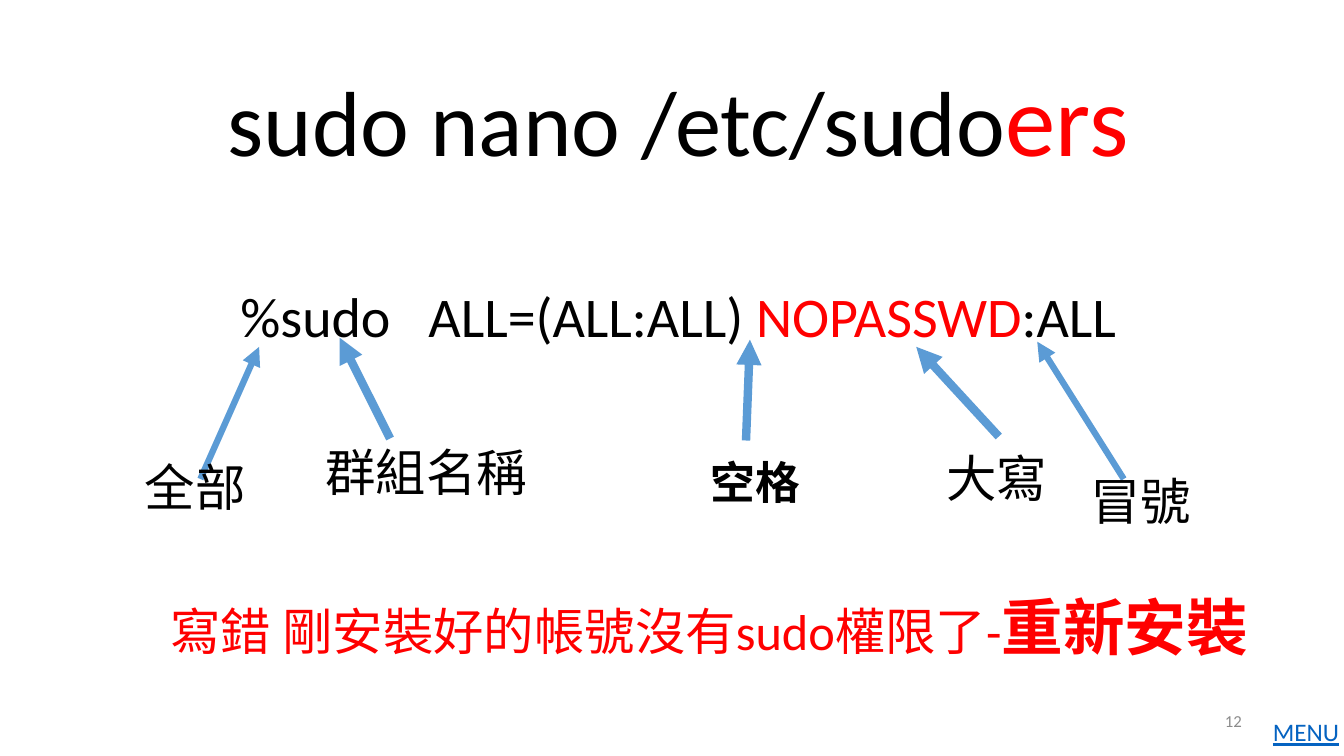
"""Builds a slide that explains the parts of a sudoers line."""
from lxml.etree import SubElement
from pptx import Presentation
from pptx.dml.color import RGBColor
from pptx.enum.shapes import MSO_CONNECTOR
from pptx.enum.text import MSO_ANCHOR, MSO_AUTO_SIZE, PP_ALIGN
from pptx.oxml.ns import qn
from pptx.util import Cm, Pt

COLORS = {"black": "000000", "red": "FF0000", "arrow": "5B9BD5",
          "menu": "0563C1", "number": "8C8C8C"}
FONT = "Calibri"

# Runs: text, size, colour, bold
TITLE = [("sudo nano /etc/sudo", 66, "black", False), ("ers", 72, "red", False)]
RULE = [("%sudo   ALL=(ALL:ALL) ", 40, "black", False),
        ("NOPASSWD", 40, "red", False), (":ALL", 40, "black", False)]
WARNING = [("寫錯 剛安裝好的帳號沒有sudo權限了-", 36, "red", False),
           ("重新安裝", 44, "red", True)]
MENU = [("MENU", 18, "menu", False)]
NUMBER = [("12", 12, "number", False)]

# Placeholders: runs, box in cm
HEADINGS = [(TITLE, (4.39, 1.55, 25.4, 3.12)), (RULE, (4.39, 7.16, 25.4, 4.6))]

# Labels: text, size, bold, left and top, arrow start, arrow end, arrow width
LABELS = [
    ("全部", 36, False, (3.4, 11.38), (5.05, 12.07), (6.53, 8.74), 4.5),
    ("群組名稱", 36, False, (7.95, 11), (9.83, 11.05), (8.56, 8.51), 6),
    ("大寫", 36, False, (23.6, 11.15), (25.17, 11), (23.09, 8.74), 6),
    ("冒號", 36, False, (27.23, 11.73), (28.32, 12.07), (26.14, 8.61), 4.5),
    ("空格", 32, True, (17.65, 11.33), (18.8, 11.1), (18.9, 8.56), 6),
]
CHAR_W, LABEL_PAD, LABEL_H = 1.27, 0.53, 1.8


def color(name):
    return RGBColor.from_string(COLORS[name])


def write(tf, runs, align=PP_ALIGN.LEFT):
    p = tf.paragraphs[0]
    p.alignment = align
    p.space_before = Pt(0)
    for text, size, shade, bold in runs:
        r = p.add_run()
        r.text = text
        r.font.name, r.font.size, r.font.bold = FONT, Pt(size), bold
        r.font.color.rgb = color(shade)
    return p


def add_text(s, runs, box, align=PP_ALIGN.LEFT, wrap=True):
    tf = s.shapes.add_textbox(*map(Cm, box)).text_frame
    tf.word_wrap = wrap
    write(tf, runs, align)
    return tf


def add_arrow(s, start, end, width):
    c = s.shapes.add_connector(MSO_CONNECTOR.STRAIGHT, *map(Cm, start + end))
    c.line.color.rgb = color("arrow")
    c.line.width = Pt(width)
    SubElement(c.line._get_or_add_ln(), qn("a:tailEnd"), type="triangle")
    SubElement(c._element.spPr, qn("a:effectLst"))


def main():
    prs = Presentation()
    prs.slide_width, prs.slide_height = Cm(33.87), Cm(19.05)
    s = prs.slides.add_slide(prs.slide_layouts[0])

    for sp, (runs, box) in zip(s.placeholders, HEADINGS):
        sp.left, sp.top, sp.width, sp.height = map(Cm, box)
        tf = sp.text_frame
        tf.auto_size = MSO_AUTO_SIZE.NONE
        write(tf, runs, PP_ALIGN.CENTER).line_spacing = 0.9

    for text, size, bold, corner, start, end, width in LABELS:
        add_arrow(s, start, end, width)
        box = corner + (CHAR_W * len(text) + LABEL_PAD, LABEL_H)
        add_text(s, [(text, size, "black", bold)], box, wrap=False)

    add_text(s, WARNING, (4.04, 14.71, 28.22, 2.13))
    tf = add_text(s, MENU, (31.83, 17.93, 2.18, 1.02), wrap=False)
    tf.paragraphs[0].runs[0].font.underline = True
    tf = add_text(s, NUMBER, (23.93, 17.65, 7.62, 1.02), PP_ALIGN.RIGHT)
    tf.vertical_anchor = MSO_ANCHOR.MIDDLE
    prs.save("out.pptx")


if __name__ == "__main__":
    main()
